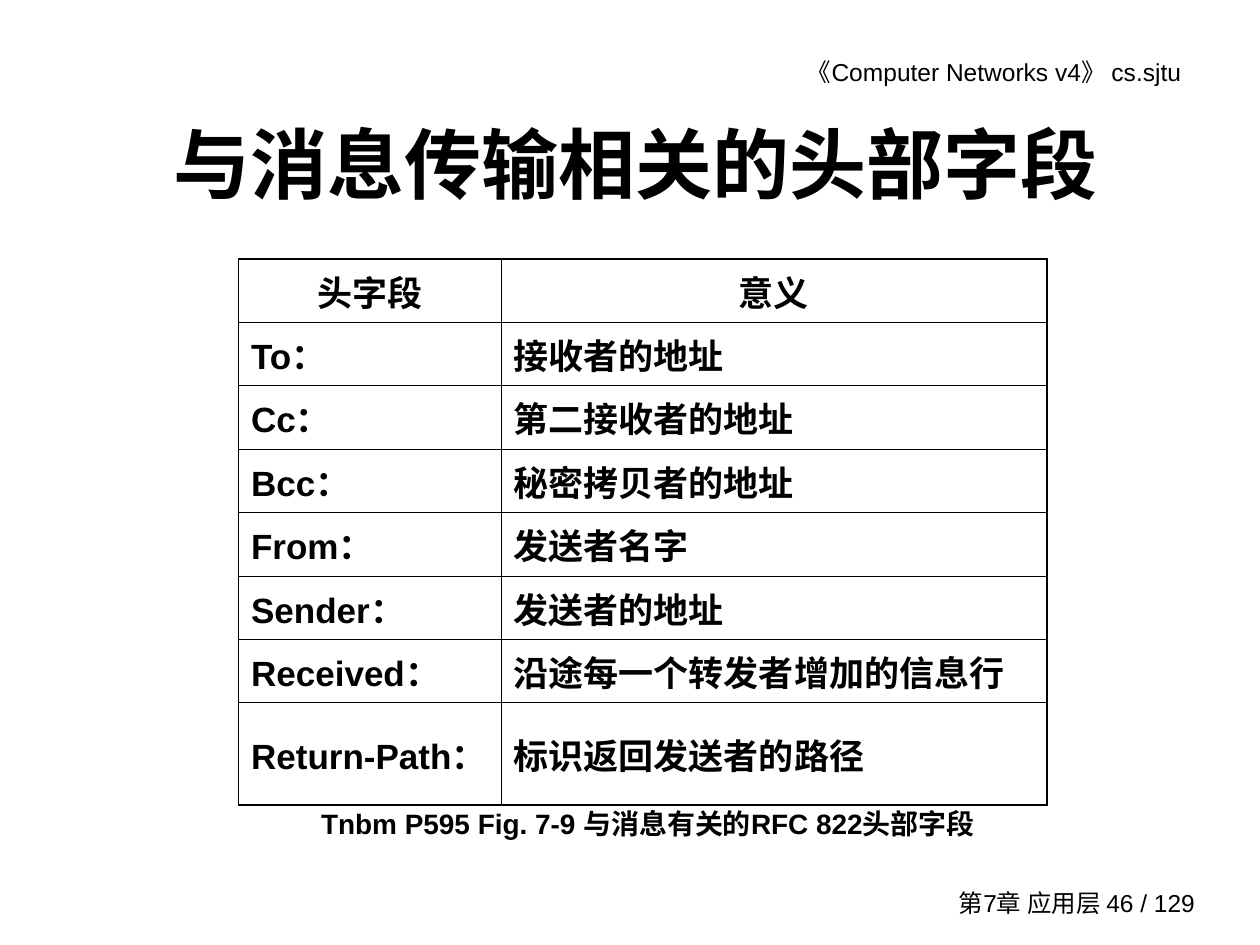
"""Build the slide on header fields for message transport."""
from lxml.etree import SubElement
from pptx import Presentation
from pptx.dml.color import RGBColor
from pptx.enum.text import MSO_ANCHOR, PP_ALIGN
from pptx.oxml.ns import qn
from pptx.util import Pt

BLACK = RGBColor(0, 0, 0)
CJK = "Noto Sans CJK SC"
THICK, THIN = 1.08, 0.45
ROWS = [
    ("头字段", "意义"),
    ("To：", "接收者的地址"),
    ("Cc：", "第二接收者的地址"),
    ("Bcc：", "秘密拷贝者的地址"),
    ("From：", "发送者名字"),
    ("Sender：", "发送者的地址"),
    ("Received：", "沿途每一个转发者增加的信息行"),
    ("Return-Path：", "标识返回发送者的路径"),
]


def write(frame, text, size, align, bold, name="Arial"):
    para = frame.paragraphs[0]
    run = para.add_run()
    run.text = text
    para.alignment = align
    font = para.font
    font.name, font.size, font.bold = name, Pt(size), bold
    font.color.rgb = BLACK
    SubElement(run._r.get_or_add_rPr(), qn("a:ea"), typeface=CJK)


def border(cell, side, width):
    line = SubElement(cell._tc.get_or_add_tcPr(), qn(f"a:ln{side}"), w=str(Pt(width)))
    fill = SubElement(line, qn("a:solidFill"))
    SubElement(fill, qn("a:srgbClr"), val=str(BLACK))


deck = Presentation()
deck.slide_width, deck.slide_height = Pt(720), Pt(540)
slide = deck.slides.add_slide(deck.slide_layouts[5])

title = slide.shapes.title
title.left, title.top, title.width, title.height = Pt(57.2), Pt(48), Pt(612), Pt(90)
title.text_frame.vertical_anchor = MSO_ANCHOR.MIDDLE
write(title.text_frame, "与消息传输相关的头部字段", 44, PP_ALIGN.CENTER, True, CJK)

NOTES = [
    ("《Computer Networks v4》 cs.sjtu", (380, 29, 302, 24), 14, PP_ALIGN.RIGHT, False, MSO_ANCHOR.TOP),
    ("第7章 应用层 46 / 129", (527, 504, 163, 24), 14, PP_ALIGN.RIGHT, False, MSO_ANCHOR.MIDDLE),
    ("Tnbm P595 Fig. 7-9 与消息有关的RFC 822头部字段", (118.2, 457.4, 504, 27), 16, PP_ALIGN.CENTER, True, MSO_ANCHOR.TOP),
]
for text, place, size, align, bold, anchor in NOTES:
    frame = slide.shapes.add_textbox(*map(Pt, place)).text_frame
    frame.word_wrap = True
    frame.vertical_anchor = anchor
    write(frame, text, size, align, bold)

table = slide.shapes.add_table(len(ROWS), 2, Pt(136.3), Pt(148), Pt(462), Pt(312)).table
table.first_row = table.horz_banding = False
table.columns[0].width, table.columns[1].width = Pt(150), Pt(312)
last = len(ROWS) - 1
for r, row in enumerate(ROWS):
    table.rows[r].height = Pt(58.3 if r == last else 36.24)
    for c, text in enumerate(row):
        cell = table.cell(r, c)
        cell.vertical_anchor = MSO_ANCHOR.MIDDLE
        write(cell.text_frame, text, 20, PP_ALIGN.LEFT if r else PP_ALIGN.CENTER, True)
        outer = {"L": c == 0, "R": c == 1, "T": r == 0, "B": r == last}
        for side, edge in outer.items():
            border(cell, side, THICK if edge else THIN)
        cell.fill.background()

deck.save("out.pptx")
